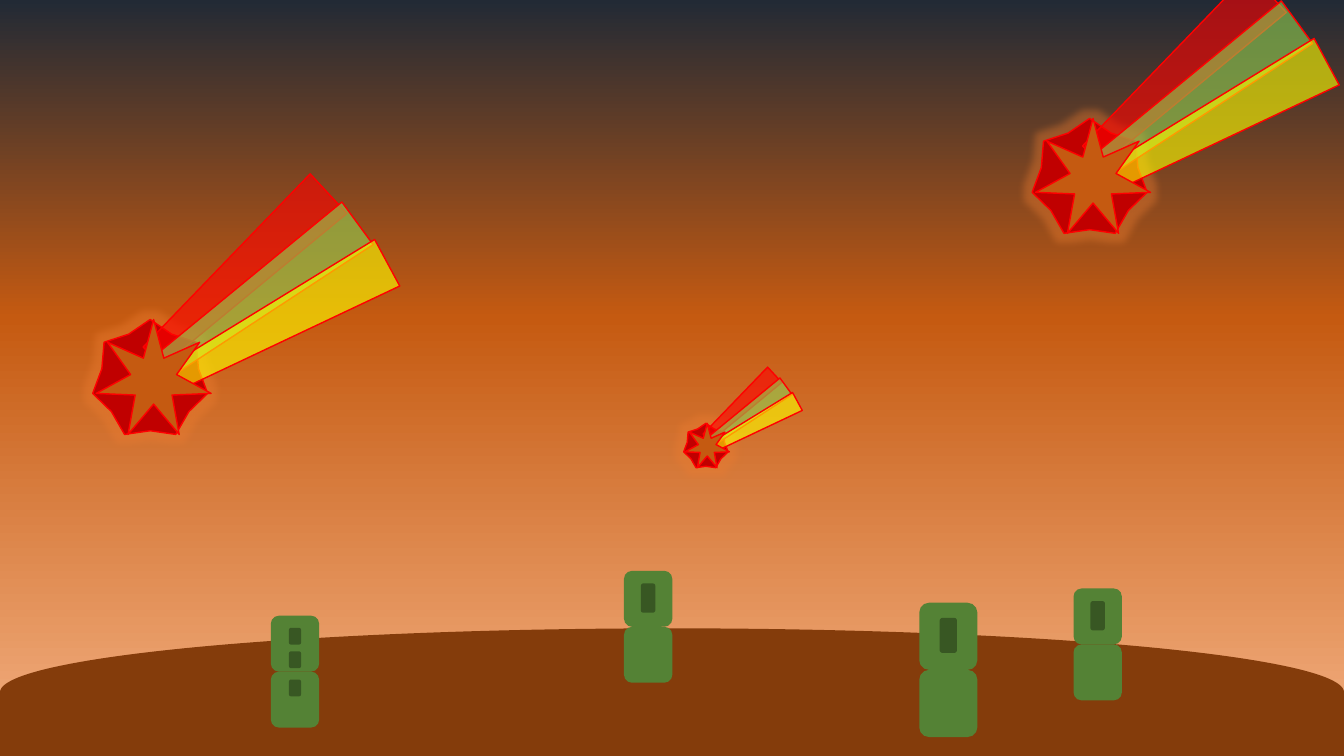
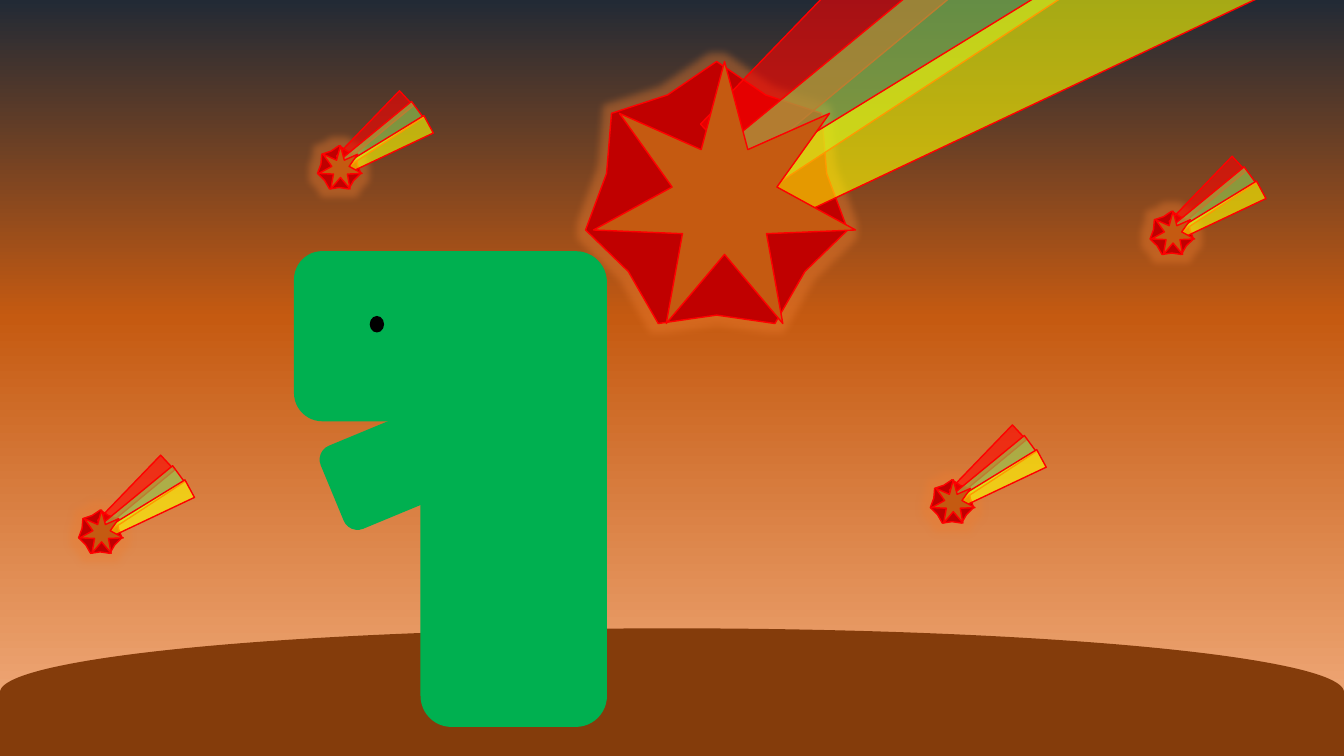
from copy import deepcopy
from dataclasses import dataclass

from lxml import etree
from pptx import Presentation
from pptx import util as u
from pptx.dml.color import RGBColor
from pptx.enum.shapes import MSO_SHAPE as preset
from pptx.oxml.ns import qn

# The slide is a grid of square cells, one sixth of an inch wide.
COLUMNS, ROWS = 80, 45
CELL = u.Inches(1) / 6


@dataclass(frozen=True)
class Theme:
    sky: tuple = ((0, "222A35"), (0.42, "C55A11"), (1, "F4B183"))
    ground: str = "843C0B"
    rock: str = "C00000"
    core: str = "C55A11"
    edge: str = "FF0000"
    flames: tuple = ("FF0000", "92D050", "FFFF00")
    flame_opacity: int = 60
    glow: str = "ED7D31"
    glow_opacity: int = 40
    glow_radius: int = u.Pt(11)
    line: int = u.Pt(1)
    cactus: str = "548235"
    slot: str = "385723"
    dinosaur: str = "00B050"
    eye: str = "000000"


THEME = Theme()

# Left, top, width, height as shares of the meteor's size, then rotation.
FLAMES = (
    (1.05, -1.43, 0.47, 2.09, 227.2),
    (1.22, -1.27, 0.46, 2.12, 233.7),
    (1.4, -1.05, 0.46, 2.12, 241.6),
)
CORE_SHIFT = 0.03
ROCK_DEPTH, CORE_DEPTH = 0.42, 0.2

BLOCK_WIDTH, BLOCK_HEIGHT = 2.88, 3.33
# Top, width, height of each slot, in cells from the top of the cactus.
ONE_SLOT = ((0.75, 0.86, 1.74),)
THREE_SLOTS = tuple((top, 0.72, 1) for top in (0.72, 2.12, 3.8))


def cells(count):
    return u.Emu(round(count * CELL))


def set_opacity(color_element, percent):
    etree.SubElement(color_element, qn("a:alpha"), val=str(percent * 1000))


def add_figure(shapes, kind, box, fill, line=None, rotation=0):
    """Add a preset shape whose box is left, top, width, height in cells."""
    shape = shapes.add_shape(kind, *map(cells, box))
    shape.shadow.inherit = False
    shape.rotation = rotation
    shape.fill.solid()
    shape.fill.fore_color.rgb = RGBColor.from_string(fill)
    if line:
        shape.line.color.rgb = RGBColor.from_string(line)
        shape.line.width = THEME.line
    else:
        shape.line.fill.background()
    return shape


def add_sky(slide):
    sky = add_figure(slide.shapes, preset.RECTANGLE, (0, 0, COLUMNS, ROWS), THEME.sky[0][1])
    sky.fill.gradient()
    sky.fill.gradient_angle = 270
    stop_list = next(sky._element.iter(qn("a:gsLst")))
    stop_list.append(deepcopy(stop_list[-1]))
    for stop, (position, color) in zip(sky.fill.gradient_stops, THEME.sky):
        stop.position = position
        stop.color.rgb = RGBColor.from_string(color)


def add_ground(slide):
    """Lay a half-round shape on its side along the bottom edge."""
    depth = 7.6
    box = ((COLUMNS - depth) / 2, ROWS - (depth + COLUMNS) / 2, depth, COLUMNS)
    add_figure(slide.shapes, preset.FLOWCHART_DELAY, box, THEME.ground, rotation=270)


def add_glow(shape):
    effects = shape._element.spPr.find(qn("a:effectLst"))
    glow = etree.SubElement(effects, qn("a:glow"), rad=str(THEME.glow_radius))
    color = etree.SubElement(glow, qn("a:srgbClr"), val=THEME.glow)
    set_opacity(color, THEME.glow_opacity)


def add_star(shapes, left, top, size, depth, fill):
    star = add_figure(shapes, preset.STAR_7_POINT, (left, top, size, size), fill, THEME.edge)
    star.adjustments[0] = depth
    return star


def add_meteor(slide, left, top, size):
    shapes = slide.shapes.add_group_shape().shapes
    add_glow(add_star(shapes, left, top, size, ROCK_DEPTH, THEME.rock))
    for (right, down, width, height, rotation), color in zip(FLAMES, THEME.flames):
        box = (left + right * size, top + down * size, width * size, height * size)
        flame = add_figure(shapes, preset.TRAPEZOID, box, color, THEME.edge, rotation)
        set_opacity(flame._element.spPr.find(qn("a:solidFill"))[0], THEME.flame_opacity)
    add_star(shapes, left + CORE_SHIFT * size, top, size, CORE_DEPTH, THEME.core)


def add_cactus(slide, left, top, slots=ONE_SLOT, scale=1):
    shapes = slide.shapes.add_group_shape().shapes
    block_width, block_height = BLOCK_WIDTH * scale, BLOCK_HEIGHT * scale
    for row in range(2):
        box = (left, top + row * block_height, block_width, block_height)
        add_figure(shapes, preset.ROUNDED_RECTANGLE, box, THEME.cactus)
    for down, width, height in slots:
        box = (left + (BLOCK_WIDTH - width) / 2 * scale, top + down * scale,
               width * scale, height * scale)
        add_figure(shapes, preset.ROUNDED_RECTANGLE, box, THEME.slot)


def add_dinosaur(slide):
    shapes = slide.shapes.add_group_shape().shapes
    head = (17.5, 14.95, 16.4, 10.13)
    jaw = (19.15, 23.53, 16.4, 5.35)
    body = (25.03, 14.95, 11.1, 28.32)
    for box, rotation in ((head, 0), (jaw, 337.5), (body, 0)):
        add_figure(shapes, preset.ROUNDED_RECTANGLE, box, THEME.dinosaur, rotation=rotation)
    add_figure(shapes, preset.OVAL, (22.05, 18.85, 0.77, 0.9), THEME.eye, THEME.eye)


def add_scene(presentation):
    slide = presentation.slides.add_slide(presentation.slide_layouts[6])
    add_sky(slide)
    add_ground(slide)
    return slide


def add_desert_slide(presentation):
    slide = add_scene(presentation)
    for meteor in ((5.52, 19.02, 6.84), (40.7, 25.2, 2.64), (61.44, 7.05, 6.84)):
        add_meteor(slide, *meteor)
    add_cactus(slide, 37.14, 33.98)
    add_cactus(slide, 16.12, 36.65, THREE_SLOTS)
    add_cactus(slide, 63.9, 35.03)
    add_cactus(slide, 54.72, 35.88, scale=1.2)


def add_dinosaur_slide(presentation):
    slide = add_scene(presentation)
    add_meteor(slide, 34.86, 3.66, 15.6)
    add_dinosaur(slide)
    for left, top in ((4.68, 30.36), (18.9, 8.67), (55.38, 28.56), (68.46, 12.57)):
        add_meteor(slide, left, top, 2.58)


def main():
    presentation = Presentation()
    presentation.slide_width = cells(COLUMNS)
    presentation.slide_height = cells(ROWS)
    add_desert_slide(presentation)
    add_dinosaur_slide(presentation)
    presentation.save("out.pptx")


if __name__ == "__main__":
    main()
